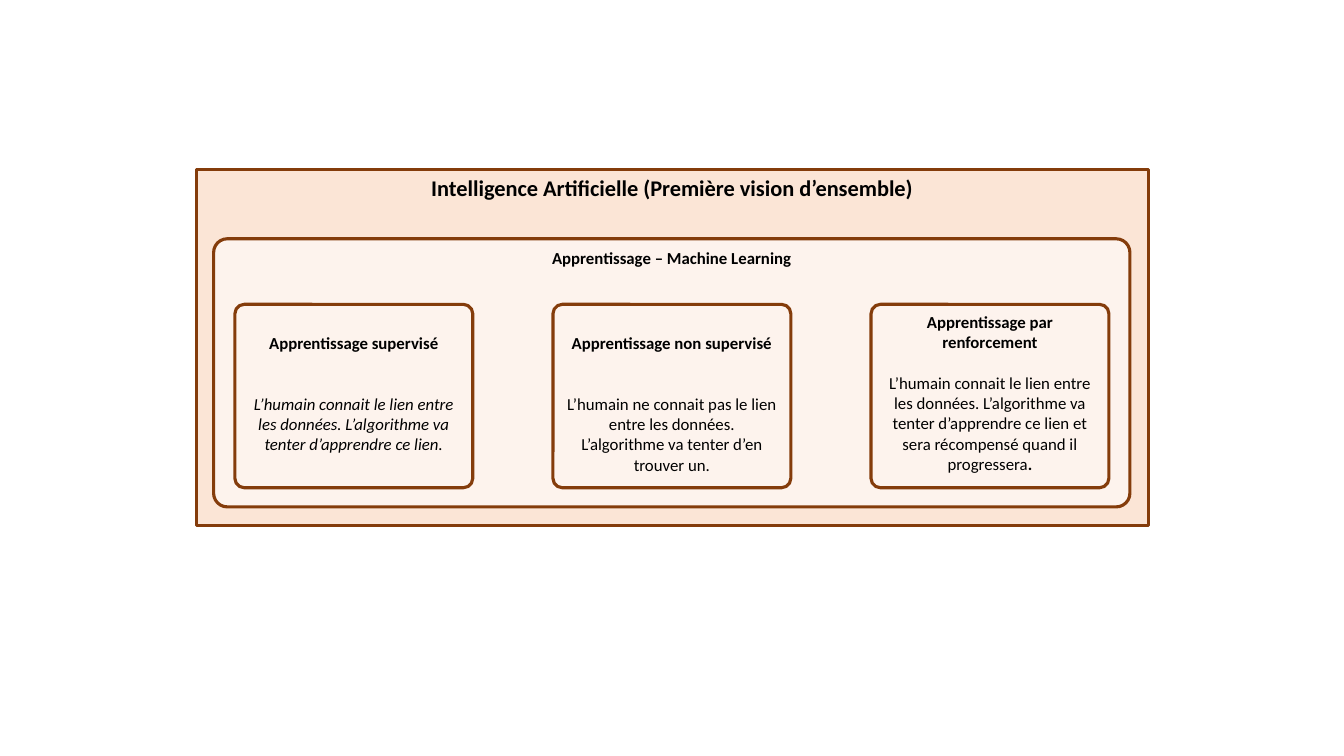
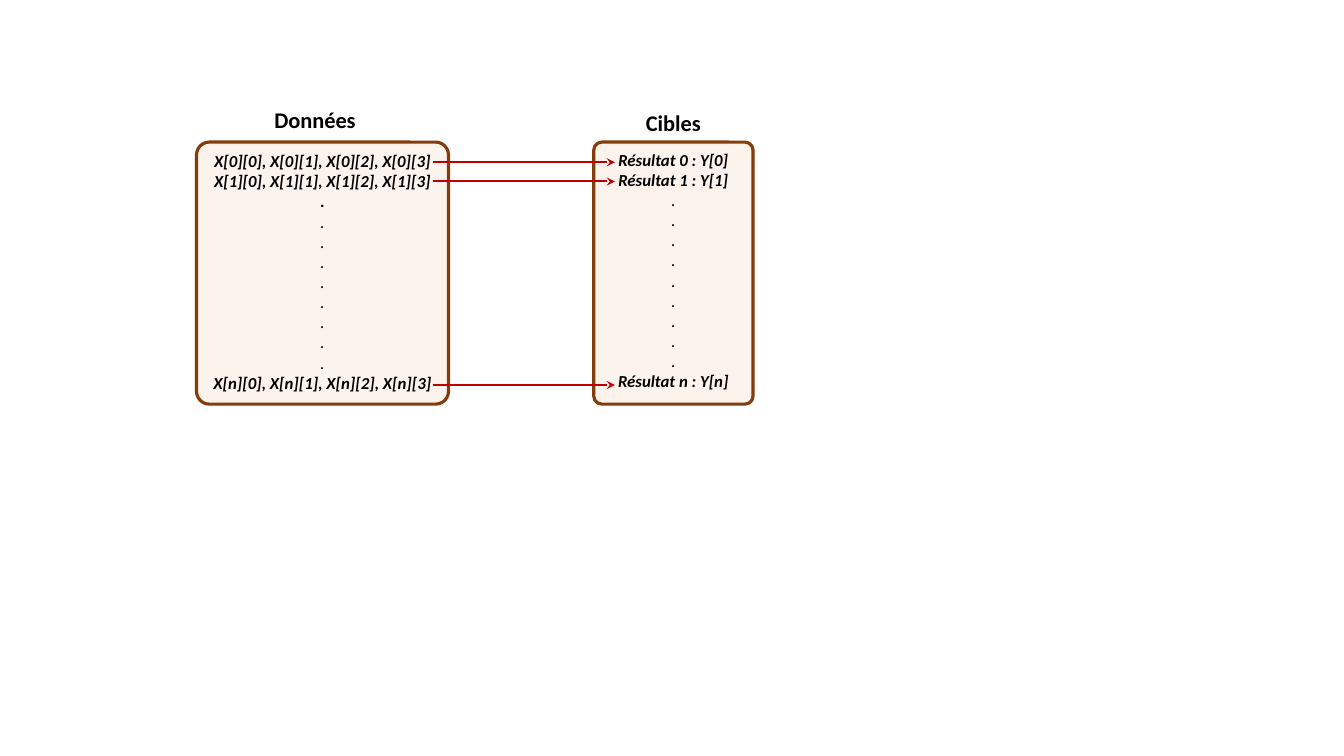
"""Build two slides: an overview of machine learning and the mapping from data to targets."""
import pptx
import pptx.dml.color
import pptx.enum.shapes
import pptx.enum.text
import pptx.oxml.ns
import pptx.util
from lxml import etree

Pt = pptx.util.Pt
COLORS = {"text": "000000", "border": "843C0B", "frame": "FBE5D6", "panel": "FDF3ED", "arrow": "C00000"}
RGB = {name: pptx.dml.color.RGBColor.from_string(code) for name, code in COLORS.items()}
LINE = 14.65


def write(para, text, size=12, bold=False, italic=False, before=0):
    """Add one formatted run to a centred paragraph."""
    para.alignment = pptx.enum.text.PP_ALIGN.CENTER
    para.space_before = Pt(before)
    span = para.add_run()
    span.text = text
    span.font.name = "Calibri"
    span.font.size = Pt(size)
    span.font.bold = bold
    span.font.italic = italic
    span.font.color.rgb = RGB["text"]


def add_panel(page, left, top, width, height):
    """Add a rounded panel with text at its top."""
    panel = page.shapes.add_shape(
        pptx.enum.shapes.MSO_SHAPE.ROUNDED_RECTANGLE, Pt(left), Pt(top), Pt(width), Pt(height))
    panel.adjustments[0] = 0.051
    panel.shadow.inherit = False
    panel.fill.solid()
    panel.fill.fore_color.rgb = RGB["panel"]
    panel.line.color.rgb = RGB["border"]
    panel.line.width = Pt(2.25)
    panel.text_frame.word_wrap = True
    panel.text_frame.vertical_anchor = pptx.enum.text.MSO_ANCHOR.TOP
    return panel.text_frame


deck = pptx.Presentation()
deck.slide_width, deck.slide_height = Pt(960), Pt(540)

page = deck.slides.add_slide(deck.slide_layouts[5])
title = page.shapes.title
title.left, title.top, title.width, title.height = Pt(140.4), Pt(121), Pt(679.7), Pt(254.2)
title.fill.solid()
title.fill.fore_color.rgb = RGB["frame"]
title.line.color.rgb = RGB["border"]
title.line.width = Pt(2.25)
title.text_frame.vertical_anchor = pptx.enum.text.MSO_ANCHOR.TOP
title.text_frame.auto_size = pptx.enum.text.MSO_AUTO_SIZE.NONE
write(title.text_frame.paragraphs[0], "Intelligence Artificielle (Première vision d’ensemble)", size=16, bold=True)

learning = add_panel(page, 152.6, 170.6, 654.5, 191.5)
write(learning.paragraphs[0], "Apprentissage – Machine Learning", bold=True)

cards = [
    ("Apprentissage supervisé",
     "L’humain connait le lien entre les données. L’algorithme va tenter d’apprendre ce lien.", True, 1, 2),
    ("Apprentissage non supervisé",
     "L’humain ne connait pas le lien entre les données. L’algorithme va tenter d’en trouver un.", False, 1, 2),
    ("Apprentissage par renforcement",
     "L’humain connait le lien entre les données. L’algorithme va tenter d’apprendre ce lien et "
     "sera récompensé quand il progressera", False, 0, 1),
]
for index, (heading, body, italic, lines_above, lines_between) in enumerate(cards):
    card = add_panel(page, 167.8 + 227.2 * index, 217.4, 169.9, 131)
    card.margin_top = Pt(3.6 + lines_above * LINE)
    write(card.paragraphs[0], heading, bold=True)
    write(card.add_paragraph(), body, italic=italic, before=lines_between * LINE)
write(card.paragraphs[-1], ".", bold=True, before=LINE)

page = deck.slides.add_slide(deck.slide_layouts[6])
columns = [
    ("Données", 140.4, 180, 72, 169.2, "X[{0}][0], X[{0}][1], X[{0}][2], X[{0}][3]", 1),
    ("Cibles", 424.1, 113.8, 74.2, 113.8, "Résultat {0} : Y[{0}]", 0),
]
for heading, left, width, heading_top, heading_width, pattern, bold_dots in columns:
    panel = add_panel(page, left, 101.5, width, 187.2)
    rows = [pattern.format(0), pattern.format(1)] + ["."] * 9 + [pattern.format("n")]
    for index, row in enumerate(rows):
        para = panel.add_paragraph() if index else panel.paragraphs[0]
        write(para, row, bold=row != "." or index < 2 + bold_dots, italic=True)
    label = page.shapes.add_textbox(Pt(left), Pt(heading_top), Pt(heading_width), Pt(26.6))
    label.text_frame.word_wrap = True
    write(label.text_frame.paragraphs[0], heading, size=16, bold=True)

for height in (115.9, 129.6, 275):
    arrow = page.shapes.add_connector(
        pptx.enum.shapes.MSO_CONNECTOR.STRAIGHT, Pt(309.6), Pt(height), Pt(439.2), Pt(height))
    arrow.line.color.rgb = RGB["arrow"]
    arrow.line.width = Pt(1.5)
    etree.SubElement(arrow.line._get_or_add_ln(), pptx.oxml.ns.qn("a:tailEnd"), type="stealth")
    etree.SubElement(arrow._element.spPr, pptx.oxml.ns.qn("a:effectLst"))

deck.save("out.pptx")
